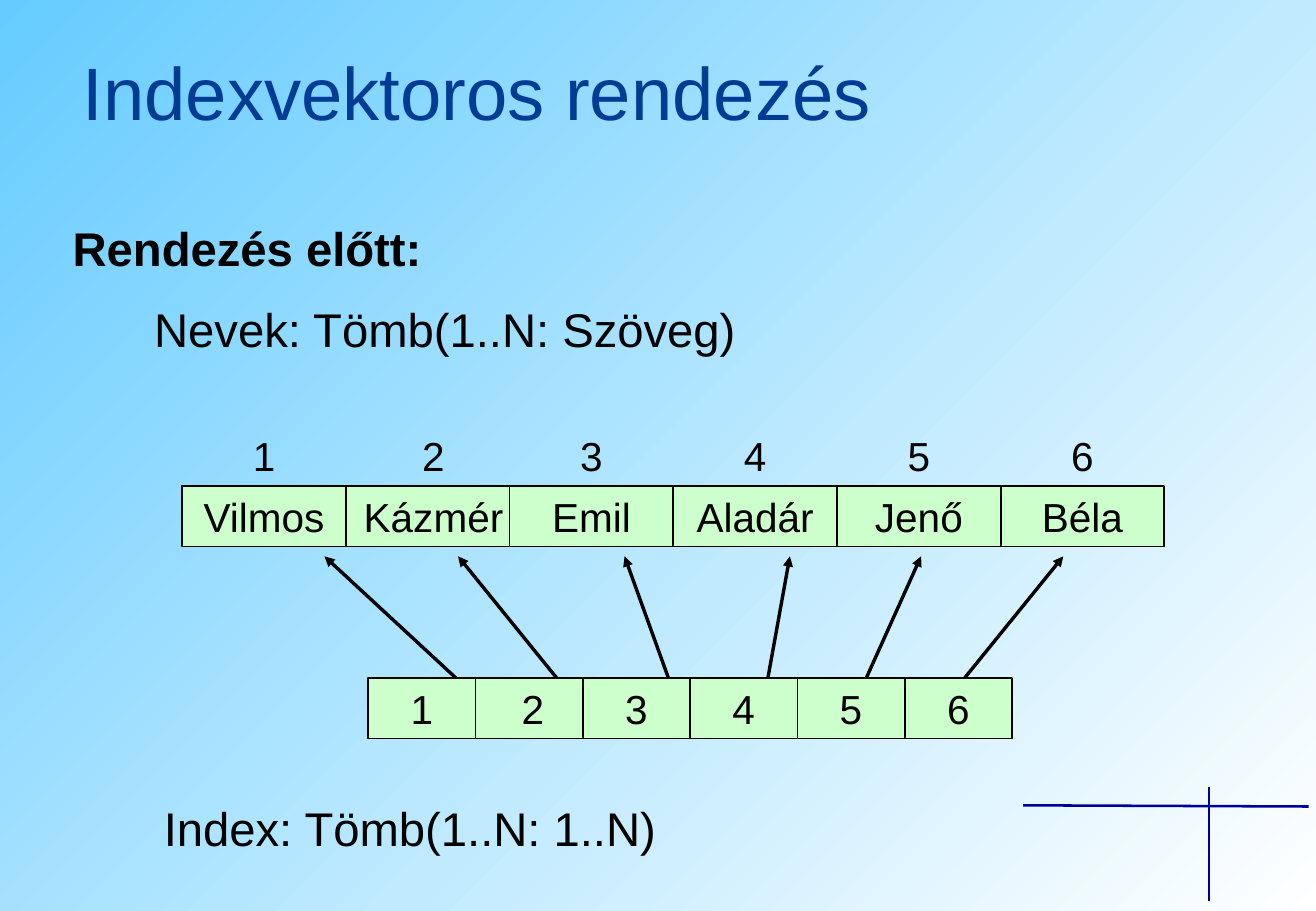
import pptx
import pptx.dml.color
import pptx.enum.shapes
import pptx.enum.text
import pptx.oxml
import pptx.oxml.ns
import pptx.util

Inches = pptx.util.Inches
ALIGN = pptx.enum.text.PP_ALIGN

NAMES = ["Vilmos", "Kázmér", "Emil", "Aladár", "Jenő", "Béla"]
NUMBERS = ["1", "2", "3", "4", "5", "6"]
ARROWS = [(3.75, 2.67), (4.58, 3.77), (5.5, 5.14), (6.32, 6.5), (7.13, 7.58), (7.94, 8.75)]


def colour(value):
    return pptx.dml.color.RGBColor.from_string(value)


def write(box, text, size, ink="000000", align=ALIGN.LEFT, bold=False):
    frame = box.text_frame
    frame.word_wrap = True
    frame.auto_size = pptx.enum.text.MSO_AUTO_SIZE.NONE
    frame.vertical_anchor = pptx.enum.text.MSO_ANCHOR.MIDDLE
    para = frame.paragraphs[0]
    para.text = text
    para.alignment = align
    para.font.name = "Arial"
    para.font.size = pptx.util.Pt(size)
    para.font.bold = bold
    para.font.color.rgb = colour(ink)


def add_line(page, start, end, ink, weight, arrow=False):
    ends = [Inches(value) for value in (*start, *end)]
    line = page.shapes.add_connector(pptx.enum.shapes.MSO_CONNECTOR.STRAIGHT, *ends)
    line.line.color.rgb = colour(ink)
    line.line.width = pptx.util.Pt(weight)
    if arrow:
        head = pptx.oxml.parse_xml(f'<a:tailEnd {pptx.oxml.ns.nsdecls("a")} type="triangle"/>')
        line.line._get_or_add_ln().append(head)
    effects = pptx.oxml.parse_xml(f'<a:effectLst {pptx.oxml.ns.nsdecls("a")}/>')
    line._element.spPr.append(effects)


def add_background(page):
    fill = page.background.fill
    fill.gradient()
    fill.gradient_angle = 135
    for stop, value in zip(fill.gradient_stops, ["FFFFFF", "66CCFF"]):
        stop.color.rgb = colour(value)


def add_corner_cross(page, left, top):
    add_line(page, (left, top + 0.15), (left + 2.35, top + 0.16), "000099", 1.5)
    add_line(page, (left + 1.53, top), (left + 1.53, top + 0.94), "000099", 1.5)


def add_title(page, left, top, width, height):
    title = page.shapes.title
    title.left, title.top = Inches(left), Inches(top)
    title.width, title.height = Inches(width), Inches(height)
    write(title, "Indexvektoros rendezés", 44, "003C94")


def add_label(page, left, top, text, bold=False):
    box = page.shapes.add_textbox(Inches(left), Inches(top), Inches(5.16), Inches(0.57))
    write(box, text, 28, bold=bold)


def add_row(page, left, top, pitch, texts, framed=True):
    for position, text in enumerate(texts):
        width = pitch * 1.07 if position == 1 else pitch
        place = [Inches(value) for value in (left + position * pitch, top, width, 0.5)]
        if framed:
            box = page.shapes.add_shape(pptx.enum.shapes.MSO_SHAPE.RECTANGLE, *place)
            box.shadow.inherit = False
            box.fill.solid()
            box.fill.fore_color.rgb = colour("CCFFCC")
            box.line.color.rgb = colour("000000")
            box.line.width = pptx.util.Pt(1)
        else:
            box = page.shapes.add_textbox(*place)
        write(box, text, 24, align=ALIGN.CENTER)


def add_arrows(page, bottom, top):
    for start, end in ARROWS:
        add_line(page, (start, bottom), (end, top), "000000", 2, arrow=True)


def main():
    deck = pptx.Presentation()
    deck.slide_width, deck.slide_height = Inches(10.83), Inches(7.5)
    page = deck.slides.add_slide(deck.slide_layouts.get_by_name("Title Only"))
    add_background(page)
    add_corner_cross(page, 8.42, 6.48)
    add_title(page, 0.58, 0.33, 9, 0.84)
    add_label(page, 0.5, 1.75, "Rendezés előtt:", bold=True)
    add_label(page, 1.17, 2.42, "Nevek: Tömb(1..N: Szöveg)")
    add_label(page, 1.25, 6.53, "Index: Tömb(1..N: 1..N)")
    add_row(page, 1.5, 3.5, 1.347, NUMBERS, framed=False)
    add_row(page, 1.5, 4, 1.347, NAMES)
    add_row(page, 3.03, 5.58, 0.883, NUMBERS)
    add_arrows(page, 5.58, 4.58)
    deck.save("out.pptx")


if __name__ == "__main__":
    main()
